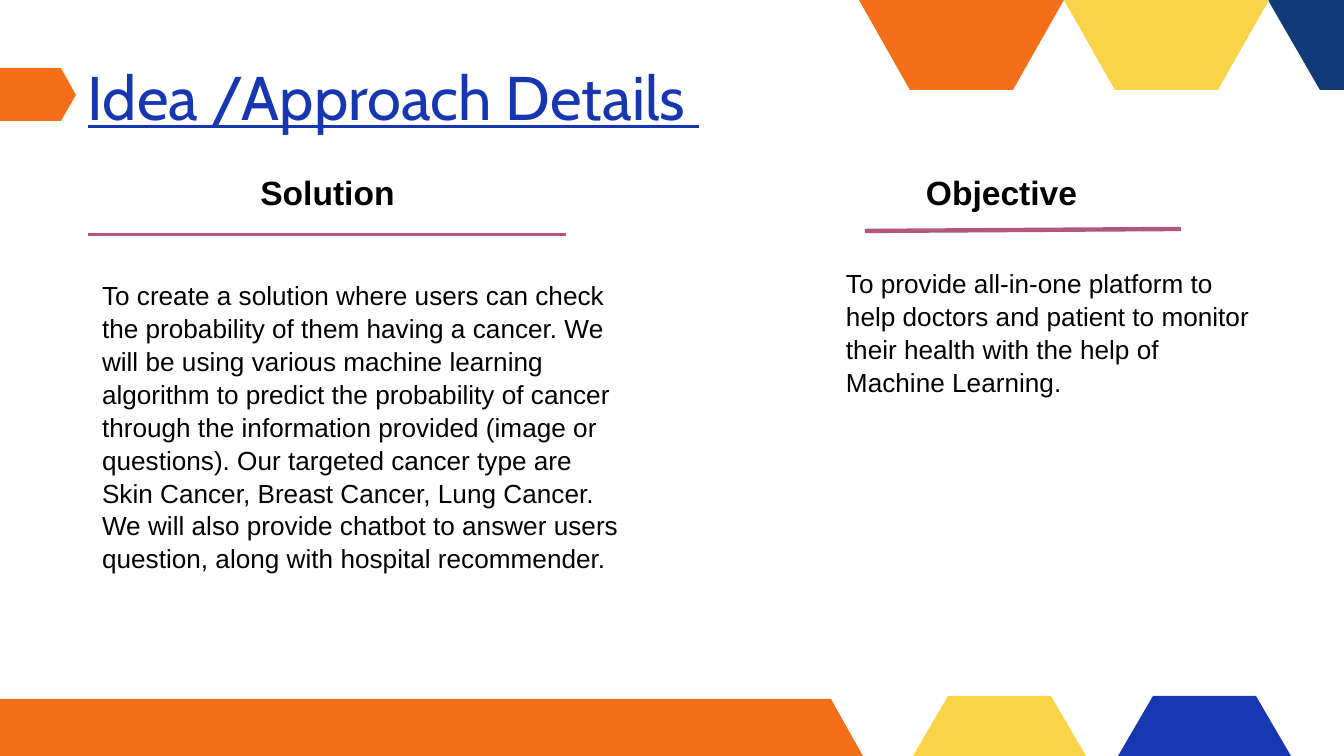
from pptx import Presentation
from pptx.dml.color import RGBColor
from pptx.enum.shapes import MSO_CONNECTOR
from pptx.enum.text import MSO_ANCHOR, MSO_AUTO_SIZE, PP_ALIGN
from pptx.oxml.ns import qn
from pptx.util import Pt
from lxml.etree import SubElement

PX = 914400 / 134.4
WIDE, HIGH = 1344, 756
HEX = {"orange": "F56E1A", "yellow": "F9D448", "blue": "1736B1",
       "navy": "113A78", "plum": "B1567E", "black": "000000"}

# Content: text and box (left, top, width, height)
TITLE = ("Idea /Approach Details ", (86, 58, 664, 75))
HEADS = [
    ("Solution", (85, 171, 484, 42), PP_ALIGN.CENTER),
    ("Objective", (925, 171, 156, 42), PP_ALIGN.LEFT),
]
BODIES = [
    ("To create a solution where users can check the probability of them "
     "having a cancer. We will be using various machine learning algorithm "
     "to predict the probability of cancer through the information provided "
     "(image or questions). Our targeted cancer type are Skin Cancer, Breast "
     "Cancer, Lung Cancer. We will also provide chatbot to answer users "
     "question, along with hospital recommender.", (89, 265, 548, 312)),
    ("To provide all-in-one platform to help doctors and patient to monitor "
     "their health with the help of Machine Learning.", (833, 253, 441, 153)),
]

# Decor: colour and corner points
SHAPES = [
    ("orange", [(0, 68), (61, 68), (76, 95), (61, 121), (0, 121)]),
    ("plum", [(88, 233), (566, 233), (566, 236), (88, 236)]),
    ("orange", [(0, 699), (831, 699), (863, HIGH), (0, HIGH)]),
    ("navy", [(1268, 0), (WIDE, 0), (WIDE, 90), (1320, 90)]),
]
TOP = [("orange", 859), ("yellow", 1064)]
BASE = [("yellow", 913), ("blue", 1118)]
for hue, x in TOP:
    SHAPES.append((hue, [(x, 0), (x + 205, 0), (x + 154, 90), (x + 51, 90)]))
for hue, x in BASE:
    SHAPES.append((hue, [(x, HIGH), (x + 35, 696), (x + 138, 696),
                         (x + 173, HIGH)]))
RULE = [(865, 231), (1181, 229)]


def emu(n):
    return round(n * PX)


def color(name):
    return RGBColor.from_string(HEX[name])


def write(text, box, shape=None, size=14, font="Arial", hue="black",
          bold=False, under=False, align=PP_ALIGN.LEFT, pad=(0, 1, 0, 0),
          lead=1.0):
    spot = [emu(n) for n in box]
    if shape is None:
        shape = slide.shapes.add_textbox(*spot)
    else:
        shape.left, shape.top, shape.width, shape.height = spot
    frame = shape.text_frame
    frame.word_wrap = True
    frame.auto_size = MSO_AUTO_SIZE.NONE
    frame.vertical_anchor = MSO_ANCHOR.TOP
    (frame.margin_left, frame.margin_top, frame.margin_right,
     frame.margin_bottom) = [emu(n) for n in pad]
    para = frame.paragraphs[0]
    para.alignment = align
    para.line_spacing = lead
    run = para.add_run()
    run.text = text
    run.font.size = Pt(size)
    run.font.name = font
    run.font.bold = bold
    run.font.underline = under
    run.font.color.rgb = color(hue)


def draw(hue, points):
    pen = slide.shapes.build_freeform(*points[0], scale=PX)
    pen.add_line_segments(points[1:], close=True)
    shape = pen.convert_to_shape()
    shape.shadow.inherit = False
    shape.fill.solid()
    shape.fill.fore_color.rgb = color(hue)
    shape.line.fill.background()


deck = Presentation()
deck.slide_width, deck.slide_height = emu(WIDE), emu(HIGH)
slide = deck.slides.add_slide(deck.slide_layouts[5])

# Bars and hexagons
for hue, points in SHAPES:
    draw(hue, points)

# Rule under the objective
ends = [emu(n) for point in RULE for n in point]
rule = slide.shapes.add_connector(MSO_CONNECTOR.STRAIGHT, *ends)
rule.line.color.rgb = color("plum")
rule.line.width = Pt(2.34)
SubElement(rule._element.spPr, qn("a:effectLst"))

# Title, heads and bodies
write(*TITLE, shape=slide.shapes.title, size=33, font="Cabin", hue="blue",
      under=True, pad=(2, 1, 0, 0))
for text, box, align in HEADS:
    write(text, box, size=18, bold=True, align=align, pad=(1, 1, 0, 0))
for text, box in BODIES:
    write(text, box, pad=(13, 13, 13, 13), lead=1.05)

deck.save("out.pptx")
